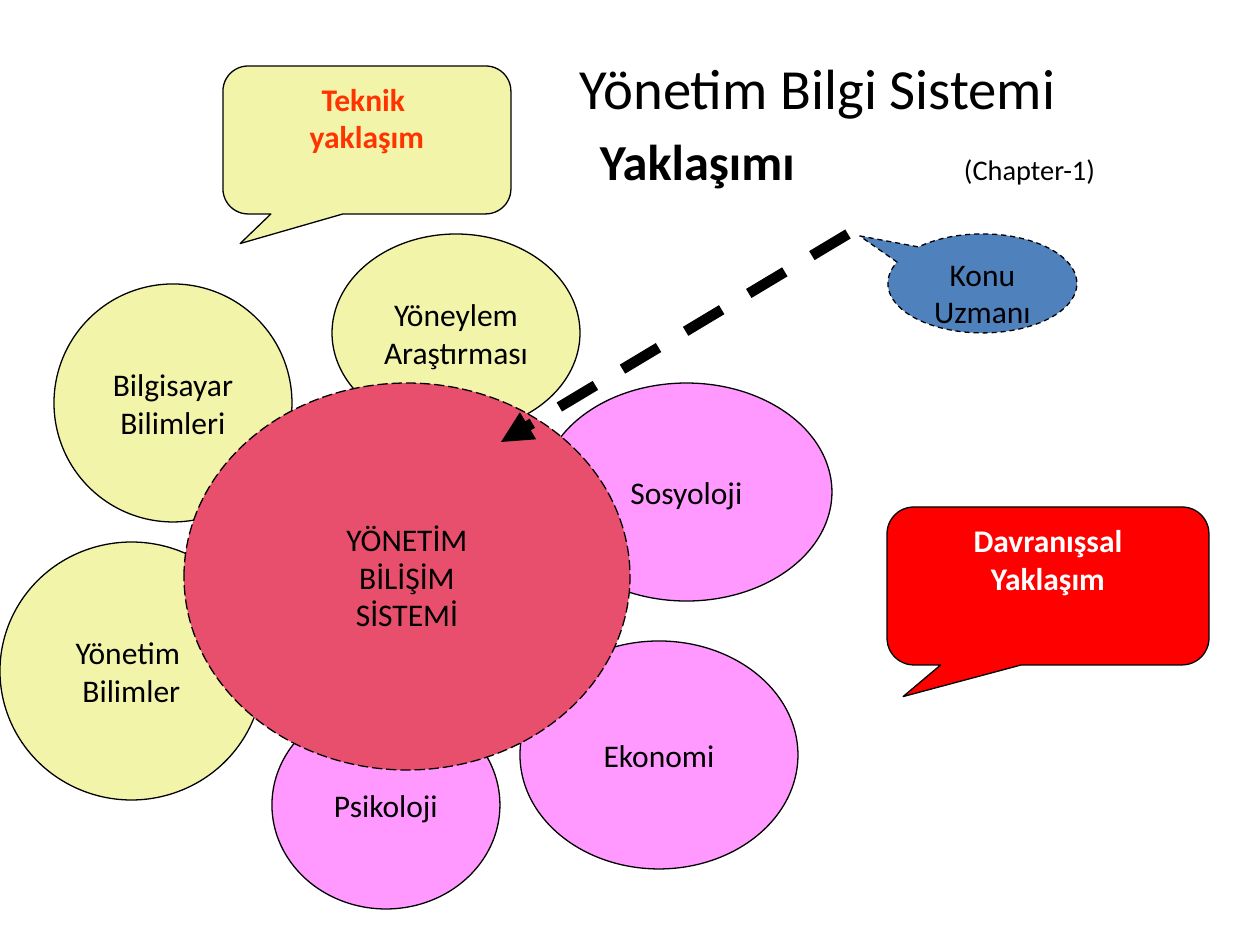
from lxml import etree
from pptx import Presentation
from pptx.dml.color import RGBColor
from pptx.enum.dml import MSO_LINE as DASH
from pptx.enum.shapes import MSO_CONNECTOR, MSO_SHAPE as SHAPE
from pptx.enum.text import MSO_ANCHOR as ANCHOR, PP_ALIGN as ALIGN
from pptx.oxml.ns import qn
from pptx.util import Emu, Inches, Pt

EMU_PER_PX = 914400 / 126
BLACK, WHITE = "000000", "FFFFFF"
YELLOW, PINK, ROSE = "F2F4AA", "FF99FF", "E74F6C"
RED, ORANGE, BLUE = "FF0000", "FF3300", "4F81BD"


def px(n):
    return Emu(round(n * EMU_PER_PX))


def rgb(value):
    return RGBColor.from_string(value)


class Deck:
    font = "Calibri"
    size = 18
    line_width = 0.75

    def __init__(self, prs):
        self.slide = prs.slides.add_slide(prs.slide_layouts[5])

    def run(self, p, text, color=BLACK, **fmt):
        r = p.add_run()
        r.text = text
        style = {"name": self.font, "size": self.size, "bold": False, **fmt}
        style["size"] = Pt(style["size"])
        for key, value in style.items():
            setattr(r.font, key, value)
        r.font.color.rgb = rgb(color)

    def title(self, box, left, top, lines, tabs):
        sp = self.slide.shapes.title
        sp.left, sp.top, sp.width, sp.height = map(px, box)
        tf = sp.text_frame
        frame = {"word_wrap": True, "vertical_anchor": ANCHOR.TOP,
                 "margin_left": px(left), "margin_top": px(top),
                 "margin_right": 0, "margin_bottom": 0}
        for key, value in frame.items():
            setattr(tf, key, value)
        for i, runs in enumerate(lines):
            p = tf.add_paragraph() if i else tf.paragraphs[0]
            p.alignment = ALIGN.LEFT
            p.space_before = Pt(5 * i)
            for text, fmt in runs:
                self.run(p, text, **fmt)
        # Tab stops on the last line
        stops = etree.SubElement(p._p.get_or_add_pPr(), qn("a:tabLst"))
        for pos in tabs:
            etree.SubElement(stops, qn("a:tab"), pos=str(px(pos)), algn="l")

    def shape(self, kind, box, fill, lines, color=BLACK, bold=False,
              dash=None, adj=(), anchor=ANCHOR.TOP, wrap=True):
        sp = self.slide.shapes.add_shape(kind, *map(px, box))
        sp.shadow.inherit = False
        for i, value in enumerate(adj):
            sp.adjustments[i] = value
        sp.fill.solid()
        sp.fill.fore_color.rgb = rgb(fill)
        sp.line.color.rgb = rgb(BLACK)
        sp.line.width = Pt(self.line_width)
        if dash:
            sp.line.dash_style = dash
        tf = sp.text_frame
        tf.word_wrap, tf.vertical_anchor = wrap, anchor
        for i, text in enumerate(lines):
            p = tf.add_paragraph() if i else tf.paragraphs[0]
            p.alignment = ALIGN.CENTER
            self.run(p, text, color, bold=bold)

    def circle(self, box, fill, lines, dash=None):
        self.shape(SHAPE.OVAL, box, fill, lines, dash=dash,
                   anchor=ANCHOR.MIDDLE, wrap=False)

    def arrow(self, start, end, width):
        cn = self.slide.shapes.add_connector(
            MSO_CONNECTOR.STRAIGHT, *map(px, (*start, *end)))
        cn.line.color.rgb = rgb(BLACK)
        cn.line.width = Pt(width)
        cn.line.dash_style = DASH.DASH
        etree.SubElement(cn.line._get_or_add_ln(), qn("a:tailEnd"), type="triangle")
        etree.SubElement(cn._element.spPr, qn("a:effectLst"))


prs = Presentation()
prs.slide_width, prs.slide_height = Inches(10), Inches(7.5)
deck = Deck(prs)

# Title
deck.title((63, 38, 1197, 158), 517, 15, [
    [("Yönetim Bilgi Sistemi", {"size": 32.4})],
    [("\tYaklaşımı", {"size": 28.8, "bold": True}),
     ("\t(Chapter-1)", {"size": 16.2})],
], tabs=(20, 384))

# Contributing disciplines
for box, fill, lines in [
    ((54, 284, 238, 238), YELLOW, ["Bilgisayar", "Bilimleri"]),
    ((0, 542, 263, 258), YELLOW, ["Yönetim ", "Bilimler"]),
    ((332, 234, 248, 198), YELLOW, ["Yöneylem", "Araştırması"]),
    ((541, 383, 291, 218), PINK, ["Sosyoloji"]),
    ((272, 701, 228, 208), PINK, ["Psikoloji"]),
    ((520, 641, 278, 228), PINK, ["Ekonomi"]),
]:
    deck.circle(box, fill, lines)

# Central system
deck.circle((184, 383, 446, 387), ROSE, ["YÖNETİM", "BİLİŞİM", "SİSTEMİ"],
            dash=DASH.LONG_DASH)

# Approach callouts
for box, fill, lines, color, tip in [
    ((223, 66, 288, 148), YELLOW, ["Teknik ", "yaklaşım"], ORANGE, -0.44),
    ((887, 507, 322, 158), RED, ["Davranışsal", "Yaklaşım"], WHITE, -0.45),
]:
    deck.shape(SHAPE.ROUNDED_RECTANGULAR_CALLOUT, box, fill, lines, color,
               bold=True, adj=(tip, 0.7, 0.17))

# Subject expert
deck.arrow((848, 234), (501, 442), 6)
deck.shape(SHAPE.OVAL_CALLOUT, (888, 234, 189, 99), BLUE, ["Konu", "Uzmanı"],
           dash=DASH.DASH, adj=(-0.65, -0.48))

prs.save("out.pptx")
